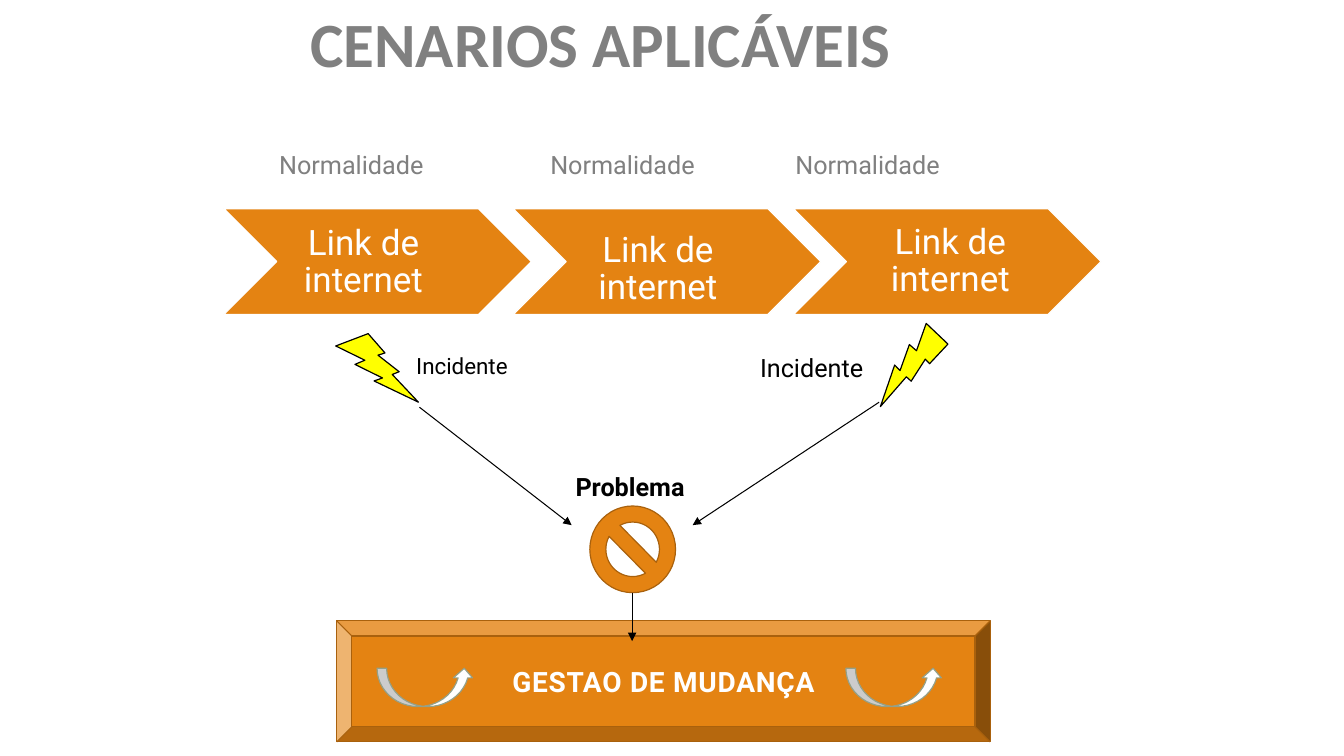
from dataclasses import dataclass

from lxml import etree
from pptx import Presentation
from pptx.dml.color import RGBColor
from pptx.enum import shapes, text
from pptx.oxml import ns
from pptx.util import Inches, Pt

SHAPE = shapes.MSO_SHAPE
ALIGN = text.PP_ALIGN
ANCHOR = text.MSO_ANCHOR


@dataclass(frozen=True)
class Theme:
    heading_font: str = "Calibri"
    body_font: str = "Roboto"
    orange: str = "E48312"
    brown: str = "A9610D"
    sage: str = "94A088"
    yellow: str = "FFFF00"
    grey: str = "808080"
    black: str = "000000"
    white: str = "FFFFFF"
    title: float = 45
    step: float = 25
    banner: float = 20
    label: float = 18
    small: float = 16
    outline: float = 0.85
    arrow: float = 0.75


class Canvas:
    def __init__(self, slide, theme):
        self.slide = slide
        self.theme = theme

    def put_text(self, tf, words, size, color, bold=False, font=None, align=ALIGN.LEFT):
        p = tf.paragraphs[0]
        r = p.add_run()
        r.text = words
        p.alignment = align
        p.font.name = font or self.theme.body_font
        p.font.size = Pt(size)
        p.font.bold = bold
        p.font.color.rgb = RGBColor.from_string(color)
        return p

    def label(self, box, words, size, color, wrap=True, **style):
        tf = self.slide.shapes.add_textbox(*map(Inches, box)).text_frame
        tf.word_wrap = wrap
        self.put_text(tf, words, size, color, **style)

    def shape(self, kind, box, fill, line, rotation=0):
        sp = self.slide.shapes.add_shape(kind, *map(Inches, box))
        sp.shadow.inherit = False
        sp.fill.solid()
        sp.fill.fore_color.rgb = RGBColor.from_string(fill)
        sp.line.color.rgb = RGBColor.from_string(line)
        sp.line.width = Pt(self.theme.outline)
        sp.rotation = rotation
        return sp

    def step(self, left, text_left, text_top):
        t = self.theme
        self.shape(SHAPE.CHEVRON, (left, 2.07, 3.05, 1.05), t.orange, t.white)
        box = (text_left, text_top, 2, 1.05)
        tf = self.slide.shapes.add_textbox(*map(Inches, box)).text_frame
        tf.word_wrap = True
        tf.vertical_anchor = ANCHOR.MIDDLE
        tf.margin_left = Inches(0.11)
        tf.margin_top = tf.margin_right = tf.margin_bottom = Inches(0.04)
        p = self.put_text(tf, "Link de internet", t.step, t.white, align=ALIGN.CENTER)
        p.line_spacing = 0.9

    def banner(self, box, words):
        t = self.theme
        sp = self.shape(SHAPE.BEVEL, box, t.orange, t.brown)
        tf = sp.text_frame
        tf.vertical_anchor = ANCHOR.MIDDLE
        p = self.put_text(tf, words, t.banner, t.white, bold=True, align=ALIGN.CENTER)
        p.runs[0].font._element.set("spc", "50")

    def arrow(self, start, end):
        ends = map(Inches, (*start, *end))
        line = self.slide.shapes.add_connector(shapes.MSO_CONNECTOR.STRAIGHT, *ends)
        line.line.color.rgb = RGBColor.from_string(self.theme.black)
        line.line.width = Pt(self.theme.arrow)
        etree.SubElement(line.line._get_or_add_ln(), ns.qn("a:tailEnd"), type="triangle")
        etree.SubElement(line._element.spPr, ns.qn("a:effectLst"))


def main():
    prs = Presentation()
    prs.slide_width, prs.slide_height = Inches(13.33), Inches(7.5)
    t = Theme()
    c = Canvas(prs.slides.add_slide(prs.slide_layouts[6]), t)

    c.label((2.98, 0, 7.35, 0.86), "CENARIOS APLICÁVEIS", t.title, t.grey,
            bold=True, font=t.heading_font)
    for left in (2.67, 5.36, 7.79):
        c.label((left, 1.43, 1.8, 0.4), "Normalidade", t.label, t.grey)
    for step in ((5.09, 5.49, 2.15), (2.22, 2.57, 2.08), (7.87, 8.39, 2.07)):
        c.step(*step)

    c.shape(SHAPE.LIGHTNING_BOLT, (3.33, 3.31, 0.82, 0.68), t.yellow, t.black)
    c.shape(SHAPE.LIGHTNING_BOLT, (8.7, 3.19, 0.66, 0.82), t.yellow, t.black, 73.3)
    c.arrow((4.16, 4.04), (5.67, 5.21))
    c.arrow((8.72, 3.99), (6.87, 5.21))

    c.shape(SHAPE.NO_SYMBOL, (5.85, 5.02, 0.85, 0.86), t.orange, t.brown)
    c.banner((3.34, 6.16, 6.48, 1.2), "GESTAO DE MUDANÇA")
    for left in (8.39, 3.74):
        c.shape(SHAPE.CURVED_UP_ARROW, (left, 6.63, 0.96, 0.38), t.white, t.sage)

    c.label((4.03, 3.44, 1.17, 0.4), "Incidente", t.small, t.black, wrap=False)
    c.label((7.44, 3.45, 1.27, 0.4), "Incidente", t.label, t.black)
    c.label((5.61, 4.63, 1.33, 0.4), "Problema", t.label, t.black, wrap=False, bold=True)
    c.arrow((6.27, 5.88), (6.27, 6.36))

    prs.save("out.pptx")


if __name__ == "__main__":
    main()
